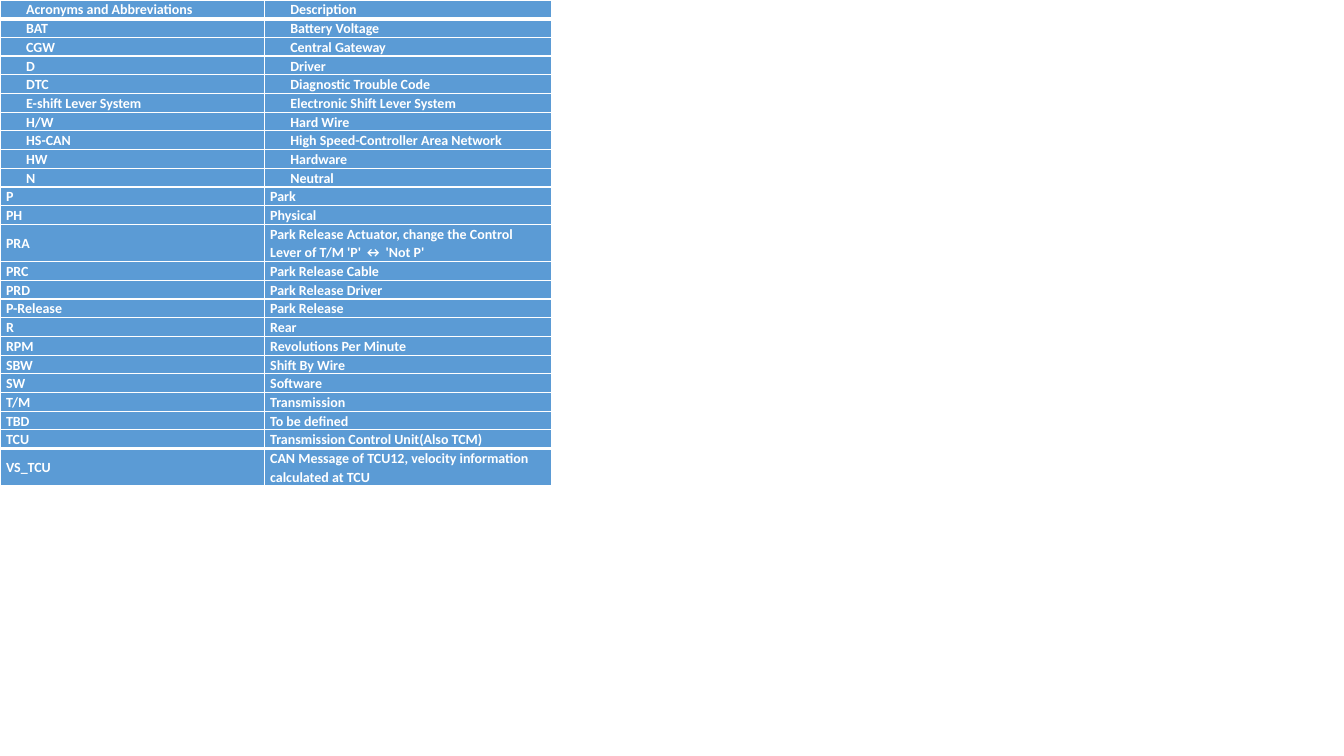
from lxml import etree
from pptx import Presentation
from pptx.dml.color import RGBColor
from pptx.enum.text import MSO_ANCHOR, PP_ALIGN
from pptx.oxml.ns import qn
from pptx.util import Inches, Pt

JUSTIFY, LEFT = PP_ALIGN.JUSTIFY, PP_ALIGN.LEFT
TOP, MIDDLE = MSO_ANCHOR.TOP, MSO_ANCHOR.MIDDLE

COLORS = {"cell": "5B9BD5", "text": "FFFFFF", "border": "FFFFFF"}
FONT = "Calibri"
COLUMN_WIDTHS = (2.62, 2.85)
LINE_HEIGHT, DOUBLE_HEIGHT = 0.18, 0.37
THIN, THICK = 1, 3
INDENTED_ROWS = 10

GLOSSARY = [
    ("Acronyms and Abbreviations ", "Description"),
    ("BAT", "Battery Voltage"),
    ("CGW", "Central Gateway"),
    ("D", "Driver"),
    ("DTC", "Diagnostic Trouble Code"),
    ("E-shift Lever System", "Electronic Shift Lever System"),
    ("H/W", "Hard Wire"),
    ("HS-CAN", "High Speed-Controller Area Network"),
    ("HW", "Hardware"),
    ("N", "Neutral"),
    ("P", "Park"),
    ("PH", "Physical"),
    ("PRA", "Park Release Actuator, change the Control Lever of T/M 'P' ↔ 'Not P'"),
    ("PRC", "Park Release Cable"),
    ("PRD", "Park Release Driver"),
    ("P-Release", "Park Release"),
    ("R", "Rear"),
    ("RPM", "Revolutions Per Minute"),
    ("SBW", "Shift By Wire"),
    ("SW", "Software"),
    ("T/M", "Transmission"),
    ("TBD", "To be defined"),
    ("TCU", "Transmission Control Unit(Also TCM)"),
    ("VS_TCU", "CAN Message of TCU12, velocity information calculated at TCU"),
]
TWO_LINE_TERMS = {"PRA", "VS_TCU"}


def write_text(frame, text, size=10, bold=True, color="text", align=LEFT,
               indent=0, space_after=0):
    """Write one formatted paragraph into a text frame."""
    para = frame.paragraphs[0]
    para.alignment = align
    para.line_spacing = 1.1
    para.space_after = Pt(space_after)
    if indent:
        properties = para._p.get_or_add_pPr()
        properties.set("marL", str(Inches(indent)))
        properties.set("indent", "0")
    span = para.add_run()
    span.text = text
    span.font.name = FONT
    span.font.size = Pt(size)
    span.font.bold = bold
    span.font.color.rgb = RGBColor.from_string(COLORS[color])


def set_borders(cell, top=THIN, bottom=THIN):
    """Draw the four cell borders, with widths in points."""
    properties = cell._tc.get_or_add_tcPr()
    widths = {"a:lnL": THIN, "a:lnR": THIN, "a:lnT": top, "a:lnB": bottom}
    for position, (tag, width) in enumerate(widths.items()):
        line = etree.Element(qn(tag), w=str(Pt(width)))
        fill = etree.SubElement(line, qn("a:solidFill"))
        etree.SubElement(fill, qn("a:srgbClr"), val=COLORS["border"])
        properties.insert(position, line)


def style_cell(cell, anchor):
    """Set the fill, margins and vertical anchor of a cell."""
    cell.fill.solid()
    cell.fill.fore_color.rgb = RGBColor.from_string(COLORS["cell"])
    cell.margin_left = cell.margin_right = Inches(0.06)
    cell.margin_top = cell.margin_bottom = 0
    cell.vertical_anchor = anchor


def add_glossary(page, left, top):
    """Add the table of acronyms with its corner at left, top."""
    heights = [DOUBLE_HEIGHT if term in TWO_LINE_TERMS else LINE_HEIGHT
               for term, _ in GLOSSARY]
    box = page.shapes.add_table(
        len(GLOSSARY), len(COLUMN_WIDTHS), Inches(left), Inches(top),
        Inches(sum(COLUMN_WIDTHS)), Inches(sum(heights)))
    table = box.table
    table.horz_banding = False
    for column, width in zip(table.columns, COLUMN_WIDTHS):
        column.width = Inches(width)

    last = len(GLOSSARY) - 1
    thick_edges = {1, last}
    for index, entry in enumerate(GLOSSARY):
        table.rows[index].height = Inches(heights[index])
        layout = {}
        if index < INDENTED_ROWS:
            layout = {"align": JUSTIFY, "indent": 0.2, "space_after": 6}
        for column, text in enumerate(entry):
            cell = table.cell(index, column)
            style_cell(cell, MIDDLE if index else TOP)
            set_borders(cell,
                        top=THICK if index in thick_edges else THIN,
                        bottom=THICK if index + 1 in thick_edges else THIN)
            write_text(cell.text_frame, text, **layout)


deck = Presentation()
deck.slide_width, deck.slide_height = Inches(13.33), Inches(7.5)
glossary_page = deck.slides.add_slide(deck.slide_layouts[6])
add_glossary(glossary_page, left=0, top=0)
deck.save("out.pptx")
